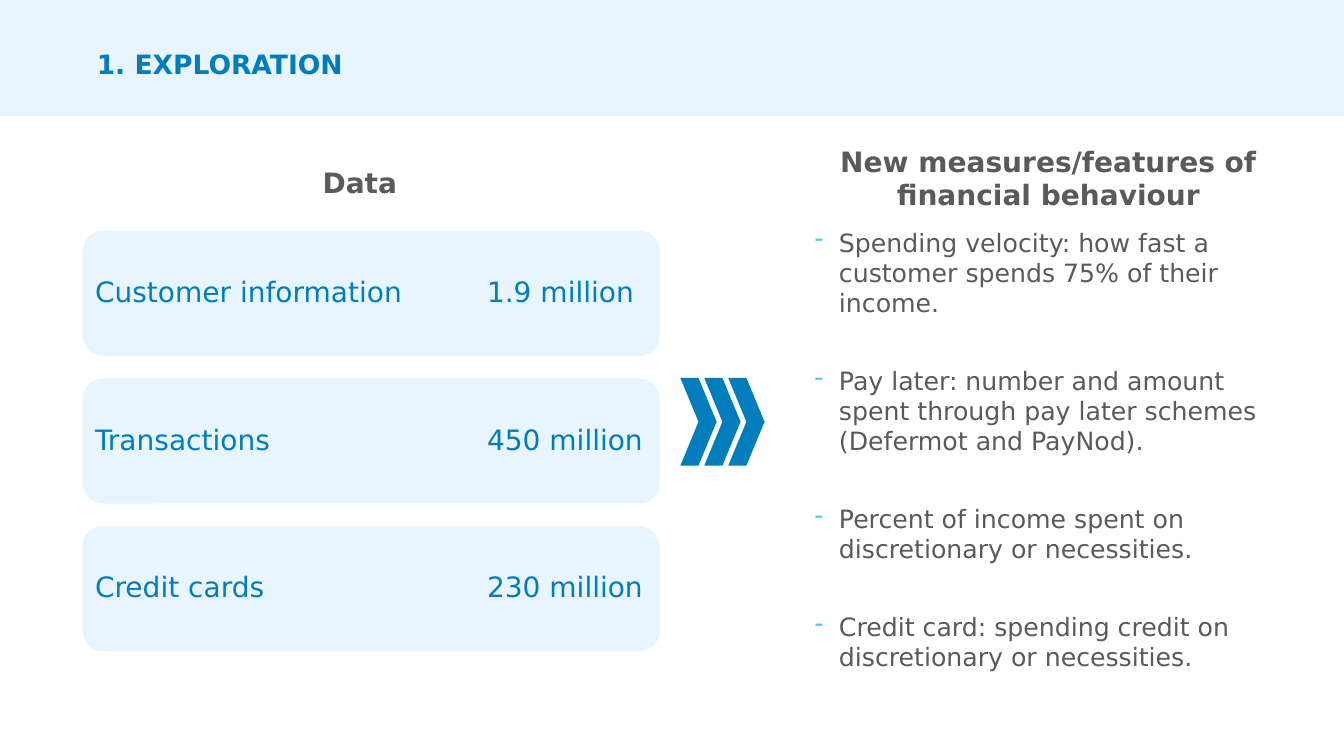
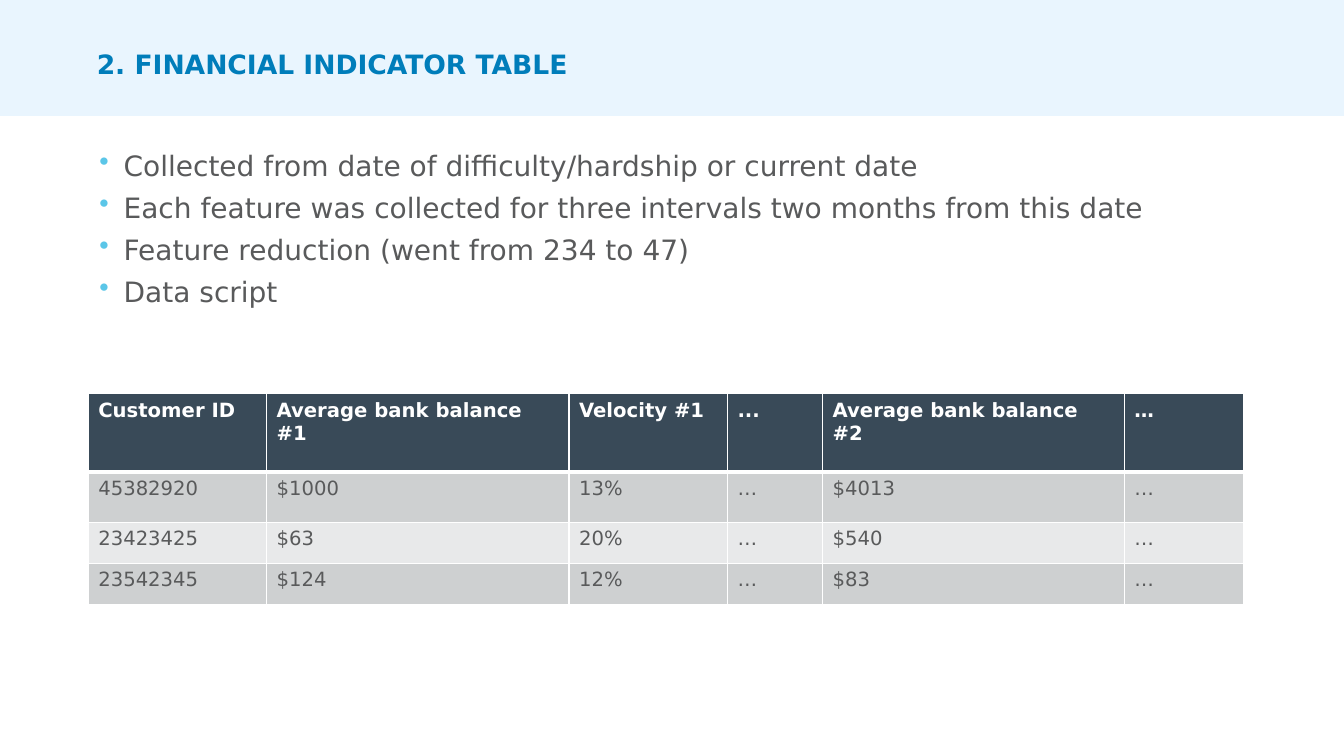
from lxml.etree import SubElement
from pptx import Presentation
from pptx.dml.color import RGBColor
from pptx.enum.shapes import MSO_SHAPE
from pptx.enum.text import MSO_ANCHOR, PP_ALIGN
from pptx.oxml.ns import qn
from pptx.util import Pt

COLORS = {
    "pale": "E9F5FE",
    "blue": "007DBA",
    "sky": "5BC6E8",
    "grey": "595A5B",
    "slate": "394A58",
    "band_dark": "CED0D1",
    "band_light": "E8E9EA",
    "white": "FFFFFF",
}
FONT = "DejaVu Sans"
SLIDE_WIDTH, SLIDE_HEIGHT = 960, 540


def rgb(name):
    return RGBColor.from_string(COLORS[name])


def write(paragraph, text, size=20, color="grey", bold=False,
          align=PP_ALIGN.LEFT, line_spacing=None, before=0):
    run = paragraph.add_run()
    run.text = text
    run.font.name = FONT
    run.font.size = Pt(size)
    run.font.bold = bold
    run.font.color.rgb = rgb(color)
    paragraph.alignment = align
    paragraph.space_before = Pt(before)
    if line_spacing:
        paragraph.line_spacing = line_spacing


def add_bullet(paragraph, mark, indent=17.3):
    properties = paragraph._p.get_or_add_pPr()
    properties.set("marL", str(Pt(indent)))
    properties.set("indent", str(-Pt(indent)))
    bullet_color = SubElement(properties, qn("a:buClr"))
    SubElement(bullet_color, qn("a:srgbClr"), val=COLORS["sky"])
    SubElement(properties, qn("a:buChar"), char=mark)


def add_tab_stop(paragraph, position):
    stops = SubElement(paragraph._p.get_or_add_pPr(), qn("a:tabLst"))
    SubElement(stops, qn("a:tab"), pos=str(Pt(position)), algn="l")


def add_borders(cell, **widths):
    """Draw white cell edges; call before filling, as the XML order matters."""
    properties = cell._tc.get_or_add_tcPr()
    for side in "LRTB":
        edge = SubElement(properties, qn(f"a:ln{side}"),
                          w=str(Pt(widths.get(side, 1))))
        fill = SubElement(edge, qn("a:solidFill"))
        SubElement(fill, qn("a:srgbClr"), val=COLORS["white"])


class Deck:
    def __init__(self):
        self.presentation = Presentation()
        self.presentation.slide_width = Pt(SLIDE_WIDTH)
        self.presentation.slide_height = Pt(SLIDE_HEIGHT)
        self.slide = None

    def start_slide(self, title):
        blank = self.presentation.slide_layouts[6]
        self.slide = self.presentation.slides.add_slide(blank)
        self.shape(MSO_SHAPE.RECTANGLE, 0, 0, SLIDE_WIDTH, 82.8, "pale")
        self.text(title, 69.1, 36, 840, 24.5, size=19, color="blue",
                  bold=True, line_spacing=0.95)

    def shape(self, kind, left, top, width, height, fill):
        shape = self.slide.shapes.add_shape(
            kind, Pt(left), Pt(top), Pt(width), Pt(height))
        shape.shadow.inherit = False
        shape.fill.solid()
        shape.fill.fore_color.rgb = rgb(fill)
        shape.line.fill.background()
        return shape

    def frame(self, left, top, width, height):
        frame = self.slide.shapes.add_textbox(
            Pt(left), Pt(top), Pt(width), Pt(height)).text_frame
        frame.word_wrap = True
        frame.margin_left = frame.margin_right = 0
        frame.margin_top = frame.margin_bottom = 0
        return frame

    def text(self, text, left, top, width, height, **style):
        write(self.frame(left, top, width, height).paragraphs[0], text, **style)

    def bullets(self, items, left, top, width, height, mark, gap, size):
        frame = self.frame(left, top, width, height)
        for index, item in enumerate(items):
            paragraph = frame.add_paragraph() if index else frame.paragraphs[0]
            write(paragraph, item, size=size, before=gap if index else 0)
            add_bullet(paragraph, mark)

    def card(self, label, amount, left, top, width, height):
        card = self.shape(MSO_SHAPE.ROUNDED_RECTANGLE,
                          left, top, width, height, "pale")
        card.line.color.rgb = rgb("white")
        card.line.width = Pt(2)
        frame = card.text_frame
        frame.word_wrap = True
        frame.vertical_anchor = MSO_ANCHOR.MIDDLE
        # The rounded corner already insets the text area by about 4.5 pt.
        frame.margin_left = frame.margin_right = Pt(5.6)
        paragraph = frame.paragraphs[0]
        write(paragraph, f"{label}\t{amount}", color="blue", line_spacing=0.9)
        add_tab_stop(paragraph, 280)

    def table(self, rows, left, top, widths, heights):
        table = self.slide.shapes.add_table(
            len(rows), len(widths), Pt(left), Pt(top),
            Pt(sum(widths)), Pt(sum(heights))).table
        table.horz_banding = False
        for column, width in zip(table.columns, widths):
            column.width = Pt(width)
        for index, (row, height, texts) in enumerate(
                zip(table.rows, heights, rows)):
            row.height = Pt(height)
            header = index == 0
            band = "band_dark" if index % 2 else "band_light"
            for cell, text in zip(row.cells, texts):
                write(cell.text_frame.paragraphs[0], text, size=14, bold=header,
                      color="white" if header else "grey")
                add_borders(cell, B=3 if header else 1, T=3 if index == 1 else 1)
                cell.fill.solid()
                cell.fill.fore_color.rgb = rgb("slate" if header else band)


def build_exploration(deck):
    deck.start_slide("1. EXPLORATION")
    deck.text("Data", 230.4, 118, 68, 27.4, bold=True)
    deck.text("New measures/features of financial behaviour",
              589, 103, 319.7, 59, bold=True, align=PP_ALIGN.CENTER)
    data_sets = [
        ("Customer information", "1.9 million"),
        ("Transactions", "450 million"),
        ("Credit cards", "230 million"),
    ]
    for index, (label, amount) in enumerate(data_sets):
        deck.card(label, amount, 57.8, 163.8 + index * 105.5, 414.5, 91.4)
    for index in range(3):
        deck.shape(MSO_SHAPE.CHEVRON, 486 + index * 17.1, 270, 25.9, 62.6, "blue")
    features = [
        "Spending velocity: how fast a customer spends 75% of their income.",
        "Pay later: number and amount spent through pay later schemes "
        "(Defermot and PayNod).",
        "Percent of income spent on discretionary or necessities.",
        "Credit card: spending credit on discretionary or necessities.",
    ]
    deck.bullets(features, 582, 162, 343.4, 289.4, mark="-", gap=34, size=18)


def build_indicator_table(deck):
    deck.start_slide("2. FINANCIAL INDICATOR TABLE")
    steps = [
        "Collected from date of difficulty/hardship or current date",
        "Each feature was collected for three intervals two months from this date",
        "Feature reduction (went from 234 to 47)",
        "Data script",
    ]
    deck.bullets(steps, 71, 106, 839.5, 150, mark="•", gap=6, size=20)
    rows = [
        ("Customer ID", "Average bank balance #1", "Velocity #1", "...",
         "Average bank balance #2", "…"),
        ("45382920", "$1000", "13%", "…", "$4013", "…"),
        ("23423425", "$63", "20%", "…", "$540", "…"),
        ("23542345", "$124", "12%", "…", "$83", "…"),
    ]
    deck.table(rows, 63, 281.2, widths=[127.4, 216, 113.2, 68, 215.5, 85.5],
               heights=[56, 36, 29.2, 29.2])


def main():
    deck = Deck()
    build_exploration(deck)
    build_indicator_table(deck)
    deck.presentation.save("out.pptx")


if __name__ == "__main__":
    main()
